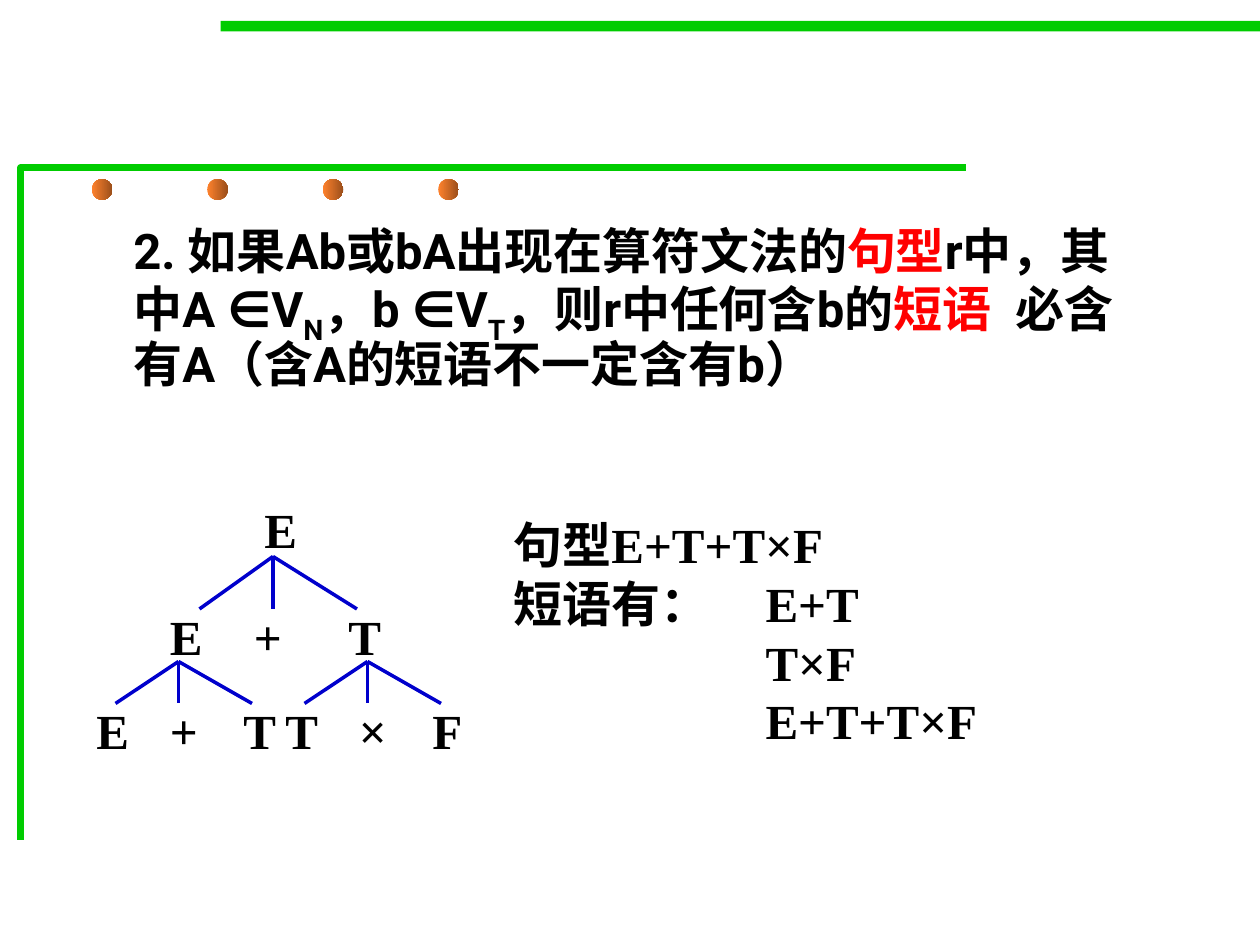
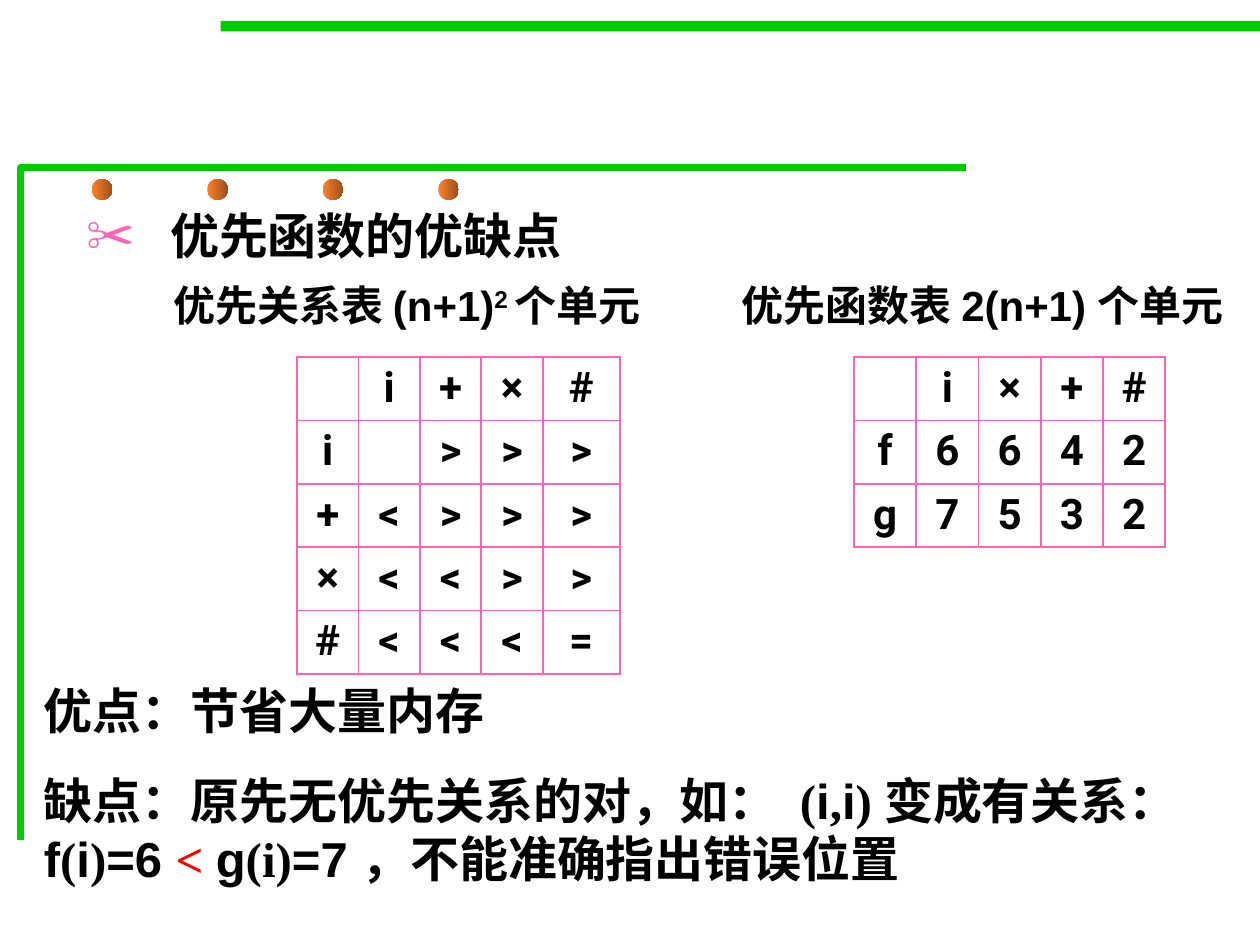
from lxml import etree
from pptx import Presentation
from pptx.dml.color import RGBColor
from pptx.enum.shapes import MSO_CONNECTOR, MSO_SHAPE
from pptx.enum.text import MSO_AUTO_SIZE, PP_ALIGN
from pptx.oxml.ns import qn
from pptx.util import Pt

RECTANGLE, OVAL = MSO_SHAPE.RECTANGLE, MSO_SHAPE.OVAL
STRAIGHT = MSO_CONNECTOR.STRAIGHT
CENTER, JUSTIFY = PP_ALIGN.CENTER, PP_ALIGN.JUSTIFY
NO_AUTOFIT, FIT_SHAPE = MSO_AUTO_SIZE.NONE, MSO_AUTO_SIZE.SHAPE_TO_FIT_TEXT

BLACK = RGBColor(0x00, 0x00, 0x00)
RED = RGBColor(0xFF, 0x00, 0x00)
GREEN = RGBColor(0x00, 0xCC, 0x00)
BLUE = RGBColor(0x00, 0x00, 0xCC)
PINK = RGBColor(0xFF, 0x63, 0xB1)
ORANGE = RGBColor(0xFF, 0x82, 0x2D)
BROWN = RGBColor(0x9B, 0x4F, 0x1B)

SANS, ARIAL, SERIF = "Roboto", "Arial", "Times New Roman"
SUBSCRIPT, SUPERSCRIPT = -25000, 30000
TAB_STEP, TAB_COUNT = 72, 8
ROW_HEIGHT = 36.2

# Horizontal offsets from a parent node: branch ends, then label boxes
UPPER_LEVEL = {"ends": (-42, 0, 48), "labels": (-66, -18, 36), "drop": 30, "label_drop": 25}
LOWER_LEVEL = {"ends": (-36, 0, 42), "labels": (-54, -12, 30), "drop": 24, "label_drop": 18.5}


def add_child(parent, tag, **attributes):
    child = etree.SubElement(parent, qn(tag))
    for name, value in attributes.items():
        child.set(name, str(value))
    return child


def add_color(parent, color):
    add_child(parent, "a:srgbClr", val=color)


def add_tab_stops(paragraph):
    properties = paragraph._p.get_or_add_pPr()
    properties.set("defTabSz", str(Pt(TAB_STEP)))
    tab_list = add_child(properties, "a:tabLst")
    for index in range(TAB_COUNT):
        add_child(tab_list, "a:tab", pos=Pt(index * TAB_STEP), algn="l")


def set_hanging_indent(paragraph, indent, bullet=None):
    properties = paragraph._p.get_or_add_pPr()
    properties.set("marL", str(Pt(indent)))
    properties.set("indent", str(-Pt(indent)))
    properties.set("hangingPunct", "0")
    if bullet:
        add_color(add_child(properties, "a:buClr"), PINK)
        add_child(properties, "a:buChar", char=bullet)
    else:
        add_child(properties, "a:buNone")


def format_run(run, size, font, color=BLACK, baseline=0):
    run.font.size = Pt(size)
    run.font.name = font
    run.font.bold = True
    run.font.color.rgb = color
    if baseline:
        run._r.get_or_add_rPr().set("baseline", str(baseline))


def write_pieces(paragraph, pieces, size, font):
    """Write pieces, each a string or a (string, format changes) pair."""
    for piece in pieces:
        text, changes = (piece, {}) if isinstance(piece, str) else piece
        run = paragraph.add_run()
        run.text = text
        format_run(run, **{"size": size, "font": font, **changes})


def add_text(shapes, box, paragraphs, size=28, font=SERIF, space_before=0, wrap=True):
    """Add a text box; each paragraph is a list of pieces."""
    frame = shapes.add_textbox(*map(Pt, box)).text_frame
    frame.word_wrap = wrap
    frame.auto_size = FIT_SHAPE
    for index, pieces in enumerate(paragraphs):
        paragraph = frame.add_paragraph() if index else frame.paragraphs[0]
        if index:
            paragraph.space_before = Pt(space_before)
        add_tab_stops(paragraph)
        write_pieces(paragraph, pieces, size, font)


def write_body(slide, box, pieces, indent, bullet=None, alignment=None, line_spacing=1.0):
    body = slide.placeholders[1]
    body.left, body.top, body.width, body.height = map(Pt, box)
    body.text_frame.auto_size = NO_AUTOFIT
    paragraph = body.text_frame.paragraphs[0]
    paragraph.alignment = alignment
    paragraph.line_spacing = line_spacing
    paragraph.space_before = Pt(7)
    set_hanging_indent(paragraph, indent, bullet)
    add_tab_stops(paragraph)
    write_pieces(paragraph, pieces, 28, SANS)


def add_branch(shapes, apex, labels, level):
    """Draw three lines down from the apex, with a label under each."""
    x, y = apex
    for label, end, label_left in zip(labels, level["ends"], level["labels"]):
        line = shapes.add_connector(STRAIGHT, Pt(x), Pt(y), Pt(x + end), Pt(y + level["drop"]))
        line.line.color.rgb = BLUE
        line.line.width = Pt(2)
        add_child(line._element.spPr, "a:effectLst")
        add_text(shapes, (x + label_left, y + level["label_drop"], 36, 41), [[label]])


def set_borders(cell):
    properties = cell._tc.get_or_add_tcPr()
    for index, side in enumerate(("a:lnL", "a:lnR", "a:lnT", "a:lnB")):
        border = etree.Element(qn(side), w=str(Pt(1.08)))
        add_color(add_child(border, "a:solidFill"), PINK)
        properties.insert(index, border)


def add_grid(slide, left, top, column_widths, rows):
    """Add a bordered table; each row is a string with one character a cell."""
    table = slide.shapes.add_table(
        len(rows), len(column_widths), Pt(left), Pt(top),
        Pt(sum(column_widths)), Pt(ROW_HEIGHT * len(rows))).table
    table.first_row = table.horz_banding = False
    for column, width in zip(table.columns, column_widths):
        column.width = Pt(width)
    for row, symbols in zip(table.rows, rows):
        row.height = Pt(ROW_HEIGHT)
        for cell, symbol in zip(row.cells, symbols):
            cell.fill.background()
            set_borders(cell)
            if symbol != " ":
                cell.text = symbol
                paragraph = cell.text_frame.paragraphs[0]
                paragraph.alignment = CENTER
                format_run(paragraph.runs[0], 24, SANS)


def add_plain_shape(slide, kind, left, top, width, height):
    shape = slide.shapes.add_shape(kind, Pt(left), Pt(top), Pt(width), Pt(height))
    shape.shadow.inherit = False
    shape.line.fill.background()
    return shape


def decorate_layout(slide):
    """Draw the green frame and dots, then move them to the slide's layout."""
    bar = add_plain_shape(slide, RECTANGLE, 126, 12, 594, 6)
    bar.fill.solid()
    bar.fill.fore_color.rgb = GREEN

    builder = slide.shapes.build_freeform(Pt(12), Pt(480))
    builder.add_line_segments([(Pt(12), Pt(95.75)), (Pt(552), Pt(95.75))], close=False)
    frame = builder.convert_to_shape()
    frame.shadow.inherit = False
    frame.fill.background()
    frame.line.color.rgb = GREEN
    frame.line.width = Pt(4)

    dots = [add_plain_shape(slide, OVAL, 52.4 + 66 * index, 102.4, 11.75, 11.75)
            for index in range(4)]
    for dot in dots:
        dot.fill.gradient()
        dot.fill.gradient_angle = 0
        for stop, color, position in zip(dot.fill.gradient_stops, (ORANGE, BROWN), (0, 1)):
            stop.color.rgb = color
            stop.position = position

    layout_tree = slide.slide_layout.shapes._spTree
    for index, shape in enumerate([bar, frame, *dots]):
        shape._element.xpath(".//p:cNvPr")[0].set("id", str(100 + index))
        layout_tree.insert(2 + index, shape._element)


def widen_default_tabs(presentation):
    for level in presentation.slide_master.element.xpath(".//p:txStyles//*[@defTabSz]"):
        level.set("defTabSz", str(Pt(TAB_STEP)))


def add_slide(presentation):
    slide = presentation.slides.add_slide(presentation.slide_layouts[1])
    title = slide.shapes.title._element
    title.getparent().remove(title)
    return slide


def build_phrase_slide(slide):
    red, low = {"color": RED}, {"baseline": SUBSCRIPT}
    write_body(slide, (42, 126, 612, 108), [
        "\t2. 如果Ab或bA出现在算符文法的", ("句型", red), "r中，其\t中A ∈V", ("N", low),
        "，b ∈V", ("T", low), "，则r中任何含b的", ("短语\t", red),
        "必含有A（含A的短语不一定含有b）"], indent=27, line_spacing=0.9)

    tree = slide.shapes.add_group_shape().shapes
    add_text(tree, (144, 282, 36, 41), [["E"]])
    add_branch(tree, (156, 318), "E+T", UPPER_LEVEL)
    add_branch(tree, (102, 378), "E+T", LOWER_LEVEL)
    add_branch(tree, (210, 378), "T×F", LOWER_LEVEL)

    add_text(slide.shapes, (286.4, 290.4, 356, 142), [
        ["句型E+T+T×F"], ["短语有：\tE+T"], ["\t\tT×F"], ["\t\tE+T+T×F"]])


def build_function_slide(slide):
    write_body(slide, (42, 114, 612, 42), ["优先函数的优缺点"],
               indent=48, bullet="✂", alignment=JUSTIFY)

    add_text(slide.shapes, (92, 156, 294, 36),
             [["优先关系表 (n+1)", ("2 ", {"baseline": SUPERSCRIPT}), "个单元"]],
             size=24, font=ARIAL)
    add_text(slide.shapes, (416.75, 156, 301, 36), [["优先函数表 2(n+1) 个单元"]],
             size=24, font=ARIAL, wrap=False)

    add_grid(slide, 169.75, 204, [35.1] * 4 + [44],
             [" i+×#", "i >>>", "+<>>>", "×<<>>", "#<<<="])
    add_grid(slide, 488, 204, [35.6] * 5, [" i×+#", "f6642", "g7532"])

    arial = {"font": ARIAL}
    add_text(slide.shapes, (18, 385.4, 702, 126), [
        ["优点：节省大量内存"],
        ["缺点：原先无优先关系的对，如：\t(", ("i", arial), ",", ("i", arial),
         ") 变成有关系：\t \t", ("f", arial), "(", ("i", arial), ")", ("=6 ", arial),
         ("< ", {"color": RED}), ("g", arial), "(i)", ("=7 ，", arial),
         "不能准确指出错误位置"]], space_before=17.5)


def main():
    presentation = Presentation()
    presentation.slide_width, presentation.slide_height = Pt(720), Pt(540)
    widen_default_tabs(presentation)
    phrase_slide = add_slide(presentation)
    decorate_layout(phrase_slide)
    build_phrase_slide(phrase_slide)
    build_function_slide(add_slide(presentation))
    presentation.save("out.pptx")


if __name__ == "__main__":
    main()
